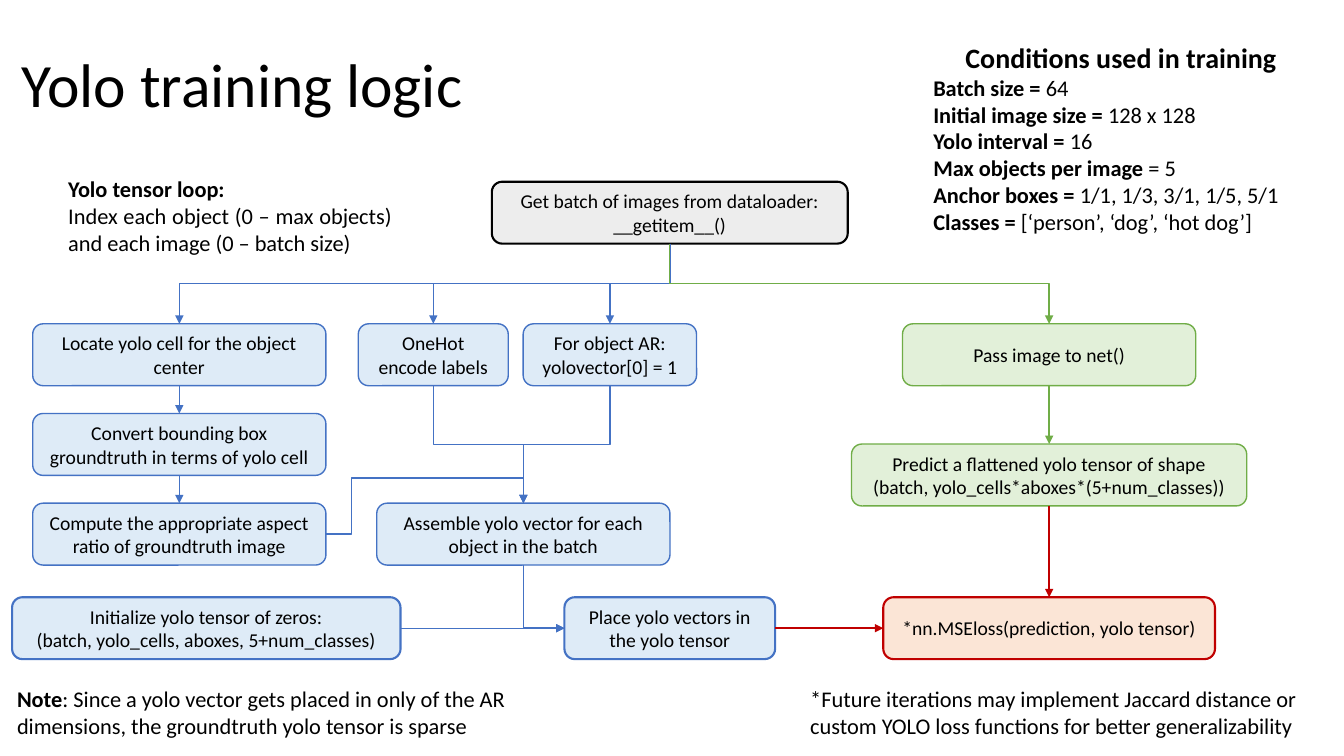
import dataclasses
import lxml.etree
import pptx
import pptx.dml.color
import pptx.enum.shapes
import pptx.enum.text
import pptx.oxml.ns
import pptx.util

Cm = pptx.util.Cm
Pt = pptx.util.Pt
Align = pptx.enum.text.PP_ALIGN
Fit = pptx.enum.text.MSO_AUTO_SIZE
Link = pptx.enum.shapes.MSO_CONNECTOR
qn = pptx.oxml.ns.qn


@dataclasses.dataclass(frozen=True)
class Theme:
    font: str = "Calibri"
    ink: str = "000000"
    blue: tuple = ("DEEBF7", "4472C4")
    green: tuple = ("E2F0D9", "70AD47")
    red: tuple = ("FBE5D6", "C00000")
    gray: tuple = ("EDEDED", "000000")
    title: int = 44
    head: int = 20
    body: int = 16
    label: int = 14
    thin: float = 1
    thick: float = 1.5


def tint(code):
    return pptx.dml.color.RGBColor.from_string(code)


def write(para, text, *, font, size, color, bold=False, align=Align.LEFT):
    para.alignment = align
    run = para.add_run()
    run.text = text
    run.font.name = font
    run.font.size = Pt(size)
    run.font.bold = bold
    run.font.color.rgb = tint(color)


class Chart:
    def __init__(self, slide, theme):
        self.slide = slide
        self.theme = theme

    def fill(self, frame, lines, size, align=Align.LEFT):
        for i, line in enumerate(lines):
            para = frame.paragraphs[0] if i == 0 else frame.add_paragraph()
            runs = [(line, False)] if isinstance(line, str) else line
            for text, bold in runs:
                write(para, text, font=self.theme.font, size=size,
                      color=self.theme.ink, bold=bold, align=align)

    def title(self, text, left, top, width, height):
        shape = self.slide.shapes.title
        shape.left, shape.top = Cm(left), Cm(top)
        shape.width, shape.height = Cm(width), Cm(height)
        frame = shape.text_frame
        frame.auto_size = Fit.NONE
        frame.vertical_anchor = pptx.enum.text.MSO_ANCHOR.MIDDLE
        self.fill(frame, [text], self.theme.title)
        frame.paragraphs[0].line_spacing = 0.9

    def note(self, lines, left, top, width, height, align=Align.LEFT):
        shape = self.slide.shapes.add_textbox(Cm(left), Cm(top), Cm(width), Cm(height))
        frame = shape.text_frame
        frame.word_wrap = True
        frame.auto_size = Fit.SHAPE_TO_FIT_TEXT
        self.fill(frame, lines, self.theme.body, align)
        return frame

    def box(self, lines, mid, top, width, hue, weight=None):
        shape = self.slide.shapes.add_shape(
            pptx.enum.shapes.MSO_SHAPE.ROUNDED_RECTANGLE,
            Cm(mid - width / 2), Cm(top), Cm(width), Cm(1.56))
        shape.shadow.inherit = False
        shape.fill.solid()
        shape.fill.fore_color.rgb = tint(hue[0])
        shape.line.color.rgb = tint(hue[1])
        shape.line.width = Pt(weight or self.theme.thin)
        frame = shape.text_frame
        frame.word_wrap = True
        frame.vertical_anchor = pptx.enum.text.MSO_ANCHOR.MIDDLE
        self.fill(frame, lines, self.theme.label, Align.CENTER)
        return shape

    def link(self, start, end, hue, kind=Link.STRAIGHT, weight=None):
        line = self.slide.shapes.add_connector(kind, *start, *end)
        line.line.color.rgb = tint(hue[1])
        line.line.width = Pt(weight or self.theme.thin)
        mark = line.line._get_or_add_ln()
        lxml.etree.SubElement(mark, qn("a:tailEnd"), type="triangle")
        lxml.etree.SubElement(line.element.spPr, qn("a:effectLst"))
        return line

    def shape_bend(self, line, preset, *turns):
        geom = line.element.spPr.find(qn("a:prstGeom"))
        geom.set("prst", preset)
        for i, turn in enumerate(turns, 1):
            lxml.etree.SubElement(geom.find(qn("a:avLst")), qn("a:gd"),
                                  name=f"adj{i}", fmla=f"val {turn}")

    def drop(self, start, end, hue, preset="bentConnector3"):
        (x1, y1), (x2, y2) = start, end
        long, wide = y2 - y1, abs(x2 - x1)
        left = (x1 + x2 - long) // 2
        top = (y1 + y2 - wide) // 2
        right = left + long
        turned = x2 > x1
        ends = (right, left) if turned else (left, right)
        line = self.link((ends[0], top), (ends[1], top + wide), hue, Link.ELBOW)
        frame = line.element.spPr.find(qn("a:xfrm"))
        frame.set("rot", str((270 if turned else 90) * 60000))
        self.shape_bend(line, preset)


def head(box):
    return box.left + box.width // 2, box.top


def foot(box):
    return box.left + box.width // 2, box.top + box.height


def west(box):
    return box.left, box.top + box.height // 2


def east(box):
    return box.left + box.width, box.top + box.height // 2


def main():
    deck = pptx.Presentation()
    deck.slide_width, deck.slide_height = Cm(33.87), Cm(19.05)
    theme = Theme()
    chart = Chart(deck.slides.add_slide(deck.slide_layouts[5]), theme)
    blue, green, red = theme.blue, theme.green, theme.red
    thick = theme.thick

    chart.title("Yolo training logic", 0.3, 0.36, 14.58, 3.68)

    first, step, last = 8.16, 2.26, 15.05
    cell_x, net_x, main_x = 4.52, 26.44, 16.88
    wide = 7.39

    batch = chart.box(["Get batch of images from dataloader: __getitem__()"],
                      main_x, 4.58, 8.97, theme.gray, thick)
    steps = [chart.box([text], cell_x, first + i * step, wide, blue)
             for i, text in enumerate([
                 "Locate yolo cell for the object center",
                 "Convert bounding box groundtruth in terms of yolo cell",
                 "Compute the appropriate aspect ratio of groundtruth image"])]
    code = chart.box(["OneHot encode labels"], 10.92, first, 3.78, blue)
    ratio = chart.box(["For object AR:", "yolovector[0] = 1"],
                      15.37, first, 4.37, blue)
    join = chart.box(["Assemble yolo vector for each object in the batch"],
                     13.19, first + 2 * step, wide, blue)
    zeros = chart.box(["Initialize yolo tensor of zeros:",
                       "(batch, yolo_cells, aboxes, 5+num_classes)"],
                      5.2, last, 9.79, blue, thick)
    place = chart.box(["Place yolo vectors in the yolo tensor"],
                      main_x, last, 5.31, blue, thick)
    net = chart.box(["Pass image to net()"], net_x, first, wide, green)
    guess = chart.box(["Predict a flattened yolo tensor of shape "
                       "(batch, yolo_cells*aboxes*(5+num_classes))"],
                      net_x, 11.19, 9.96, green)
    loss = chart.box(["*nn.MSEloss(prediction, yolo tensor)"],
                     net_x, last, 8.36, red, thick)

    for goal in (steps[0], code, ratio):
        chart.drop(foot(batch), head(goal), blue)
    for part in (ratio, code):
        chart.drop(foot(part), head(join), blue)
    bend = chart.link(east(steps[2]), head(join), blue, Link.ELBOW)
    chart.shape_bend(bend, "bentConnector4", 12900, 181200)
    for upper, lower in zip(steps, steps[1:]):
        chart.link(foot(upper), head(lower), blue)
    chart.link(east(zeros), west(place), blue)
    chart.drop(foot(join), west(place), blue, "bentConnector2")
    chart.drop(foot(batch), head(net), green)
    chart.link(foot(net), head(guess), green)
    chart.link(foot(guess), head(loss), red, weight=thick)
    chart.link(east(place), west(loss), red, weight=thick)

    facts = chart.note(
        [[("Conditions used in training", True)]] + [
            [(name, True), (value, False)] for name, value in [
                ("Batch size = ", "64"),
                ("Initial image size = ", "128 x 128"),
                ("Yolo interval = ", "16"),
                ("Max objects per image ", "= 5"),
                ("Anchor boxes = ", "1/1, 1/3, 3/1, 1/5, 5/1"),
                ("Classes = ", "[‘person’, ‘dog’, ‘hot dog’]")]],
        23.27, 0.89, 9.96, 5.21)
    facts.paragraphs[0].alignment = Align.CENTER
    facts.paragraphs[0].runs[0].font.size = Pt(theme.head)
    chart.note([[("Yolo tensor loop:", True)],
                "Index each object (0 – max objects) and each image (0 – batch size)"],
               1.47, 4.29, 8.66, 2.31, Align.JUSTIFY)
    chart.note([[("Note", True),
                 (": Since a yolo vector gets placed in only of the AR dimensions, "
                  "the groundtruth yolo tensor is sparse", False)]],
               0.18, 17.15, 13.54, 1.63)
    chart.note(["*Future iterations may implement Jaccard distance or custom YOLO "
                "loss functions for better generalizability"],
               20.32 - 0.15, 17.15, 13.54, 1.63)

    deck.save("out.pptx")


if __name__ == "__main__":
    main()
